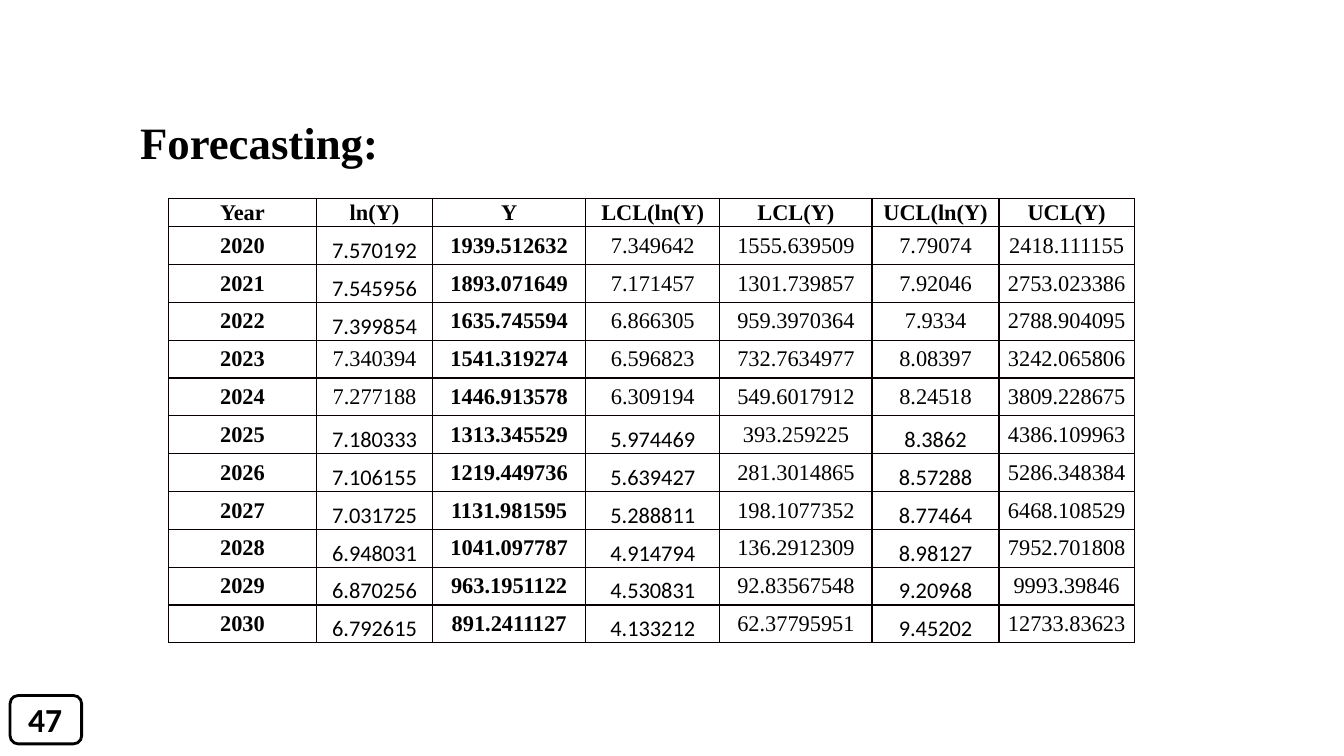
from lxml import etree
from pptx import Presentation
from pptx.dml.color import RGBColor
from pptx.enum.shapes import MSO_SHAPE as Shape
from pptx.enum.text import MSO_ANCHOR as Anchor, PP_ALIGN as Align
from pptx.oxml.ns import qn
from pptx.util import Inches, Pt

# Content
TITLE = "Forecasting:"
PAGE_NUMBER = "47"
HEADERS = ["Year", "ln(Y)", "Y", "LCL(ln(Y)", "LCL(Y)", "UCL(ln(Y)", "UCL(Y)"]
FORECASTS = [
    ("2020", "7.570192", "1939.512632", "7.349642", "1555.639509", "7.79074", "2418.111155"),
    ("2021", "7.545956", "1893.071649", "7.171457", "1301.739857", "7.92046", "2753.023386"),
    ("2022", "7.399854", "1635.745594", "6.866305", "959.3970364", "7.9334", "2788.904095"),
    ("2023", "7.340394", "1541.319274", "6.596823", "732.7634977", "8.08397", "3242.065806"),
    ("2024", "7.277188", "1446.913578", "6.309194", "549.6017912", "8.24518", "3809.228675"),
    ("2025", "7.180333", "1313.345529", "5.974469", "393.259225", "8.3862", "4386.109963"),
    ("2026", "7.106155", "1219.449736", "5.639427", "281.3014865", "8.57288", "5286.348384"),
    ("2027", "7.031725", "1131.981595", "5.288811", "198.1077352", "8.77464", "6468.108529"),
    ("2028", "6.948031", "1041.097787", "4.914794", "136.2912309", "8.98127", "7952.701808"),
    ("2029", "6.870256", "963.1951122", "4.530831", "92.83567548", "9.20968", "9993.39846"),
    ("2030", "6.792615", "891.2411127", "4.133212", "62.37795951", "9.45202", "12733.83623"),
]

# Layout and style
COLUMN_WIDTHS = [1.47, 1.15, 1.52, 1.33, 1.51, 1.26, 1.34]
TABLE_LEFT, TABLE_TOP, TABLE_HEIGHT = 1.67, 1.97, 4.41
HEADER_HEIGHT = 0.28
BOLD_COLUMNS = {0, 2}
SERIF, SANS = "Times New Roman", "Calibri"
BLACK, WHITE, BORDER = "000000", "FFFFFF", "080000"


def color(value):
    return RGBColor.from_string(value)


def write(frame, text, font=SERIF, size=16, bold=False, align=Align.LEFT):
    para = frame.paragraphs[0]
    para.alignment = align
    span = para.add_run()
    span.text = text
    span.font.name, span.font.size, span.font.bold = font, Pt(size), bold
    span.font.color.rgb = color(BLACK)


def add_text(page, text, left, top, width, height, wrap=True, **style):
    box = page.shapes.add_textbox(Inches(left), Inches(top), Inches(width), Inches(height))
    box.text_frame.word_wrap = wrap
    write(box.text_frame, text, **style)


def add_borders(cell):
    properties = cell._tc.get_or_add_tcPr()
    for place, side in enumerate(("lnL", "lnR", "lnT", "lnB")):
        line = etree.Element(qn(f"a:{side}"), w=str(Pt(1)))
        fill = etree.SubElement(line, qn("a:solidFill"))
        etree.SubElement(fill, qn("a:srgbClr"), val=BORDER)
        properties.insert(place, line)


def is_sans(row, column):
    """Log values set in the sans font at the bottom of their cells."""
    if column == 1:
        return row in (1, 2, 3) or row >= 6
    return column in (3, 5) and row >= 6


def add_forecast_table(page):
    rows = [HEADERS] + FORECASTS
    table = page.shapes.add_table(
        len(rows), len(HEADERS), Inches(TABLE_LEFT), Inches(TABLE_TOP),
        Inches(sum(COLUMN_WIDTHS)), Inches(TABLE_HEIGHT)).table
    table.first_row = table.horz_banding = False
    for column, width in zip(table.columns, COLUMN_WIDTHS):
        column.width = Inches(width)
    body_height = (TABLE_HEIGHT - HEADER_HEIGHT) / len(FORECASTS)
    for r, values in enumerate(rows):
        table.rows[r].height = Inches(body_height if r else HEADER_HEIGHT)
        for c, value in enumerate(values):
            cell = table.cell(r, c)
            sans = is_sans(r, c)
            cell.margin_left = cell.margin_right = Inches(0.07)
            cell.margin_top = cell.margin_bottom = 0
            cell.vertical_anchor = Anchor.BOTTOM if sans else Anchor.MIDDLE
            cell.fill.background()
            add_borders(cell)
            write(cell.text_frame, value, font=SANS if sans else SERIF,
                  bold=r == 0 or c in BOLD_COLUMNS, align=Align.CENTER)


def add_page_number(page):
    badge = page.shapes.add_shape(
        Shape.ROUNDED_RECTANGLE, Inches(0.1), Inches(6.9), Inches(0.71), Inches(0.48))
    badge.shadow.inherit = False
    badge.fill.solid()
    badge.fill.fore_color.rgb = color(WHITE)
    fill_color = badge._element.spPr.find(qn("a:solidFill")).find(qn("a:srgbClr"))
    etree.SubElement(fill_color, qn("a:alpha"), val="70000")
    badge.line.color.rgb = color(BLACK)
    badge.line.width = Pt(2)
    add_text(page, PAGE_NUMBER, 0.18, 6.88, 0.56, 0.5, wrap=False,
             font=SANS, size=24, bold=True)


def main():
    deck = Presentation()
    deck.slide_width, deck.slide_height = Inches(13.33), Inches(7.5)
    page = deck.slides.add_slide(deck.slide_layouts[6])
    add_forecast_table(page)
    add_text(page, TITLE, 1.29, 1.09, 9.29, 0.62, size=32, bold=True)
    add_page_number(page)
    deck.save("out.pptx")


if __name__ == "__main__":
    main()
